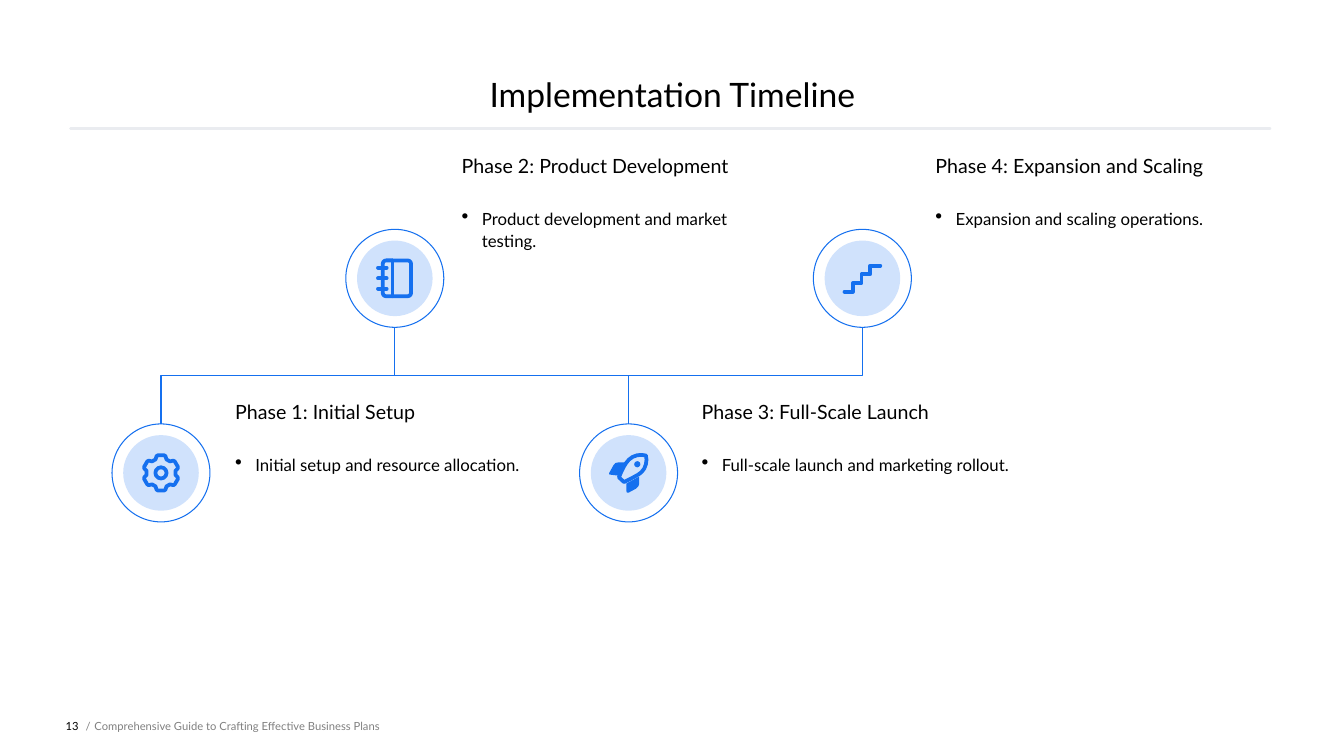
from dataclasses import dataclass
from math import cos, radians, sin
from typing import Callable

from lxml import etree
from pptx import Presentation
from pptx.dml.color import RGBColor
from pptx.enum.shapes import MSO_CONNECTOR, MSO_SHAPE
from pptx.enum.text import MSO_ANCHOR, PP_ALIGN
from pptx.oxml.ns import qn
from pptx.shapes.autoshape import Shape
from pptx.slide import Slide
from pptx.util import Pt

STRAIGHT = MSO_CONNECTOR.STRAIGHT
OVAL, ROUNDED = MSO_SHAPE.OVAL, MSO_SHAPE.ROUNDED_RECTANGLE
TOP, MIDDLE, BOTTOM = MSO_ANCHOR.TOP, MSO_ANCHOR.MIDDLE, MSO_ANCHOR.BOTTOM
LEFT, CENTER, RIGHT = PP_ALIGN.LEFT, PP_ALIGN.CENTER, PP_ALIGN.RIGHT

Point = tuple[float, float]


@dataclass(frozen=True)
class Theme:
    font: str = "Lato"
    text: RGBColor = RGBColor(0, 0, 0)
    muted: RGBColor = RGBColor(0x80, 0x80, 0x80)
    accent: RGBColor = RGBColor(0x15, 0x70, 0xEF)
    tint: RGBColor = RGBColor(0xD0, 0xE2, 0xFC)
    rule: RGBColor = RGBColor(0xEA, 0xEC, 0xF0)
    title_size: float = 24
    heading_size: float = 14
    body_size: float = 12
    footer_size: float = 8
    thin: float = 0.75
    rule_width: float = 2
    icon_stroke: float = 2.7


THEME = Theme()


@dataclass(frozen=True)
class TextBox:
    text: str
    left: float
    top: float
    width: float
    height: float
    size: float
    color: RGBColor = THEME.text
    align: PP_ALIGN = LEFT
    anchor: MSO_ANCHOR = TOP
    line_spacing: float = 1
    bullet: bool = False


@dataclass(frozen=True)
class Phase:
    heading: str
    detail: str
    text_left: float
    raised: bool
    draw_icon: Callable[[Slide, Point], None]


def add_text(slide: Slide, box: TextBox) -> None:
    shape = slide.shapes.add_textbox(Pt(box.left), Pt(box.top), Pt(box.width), Pt(box.height))
    frame = shape.text_frame
    frame.word_wrap = True
    frame.vertical_anchor = box.anchor
    frame.margin_left = frame.margin_right = frame.margin_top = frame.margin_bottom = 0
    frame.text = box.text
    paragraph = frame.paragraphs[0]
    if box.bullet:
        properties = paragraph._p.get_or_add_pPr()
        properties.set("marL", str(Pt(14.4)))
        properties.set("indent", str(-Pt(14.4)))
        etree.SubElement(properties, qn("a:buSzPct"), val="120000")
        etree.SubElement(properties, qn("a:buChar"), char="•")
    paragraph.alignment = box.align
    paragraph.line_spacing = box.line_spacing
    font = paragraph.runs[0].font
    font.name, font.size = THEME.font, Pt(box.size)
    font.color.rgb = box.color


def paint(shape: Shape, fill: RGBColor | None, stroke: float = 0) -> None:
    shape.shadow.inherit = False
    if fill is None:
        shape.fill.background()
    else:
        shape.fill.solid()
        shape.fill.fore_color.rgb = fill
    if not stroke:
        shape.line.fill.background()
        return
    shape.line.color.rgb = THEME.accent
    shape.line.width = Pt(stroke)
    outline = shape._element.spPr.find(qn("a:ln"))
    outline.set("cap", "rnd" if stroke == THEME.icon_stroke else "flat")
    etree.SubElement(outline, qn("a:round"))


def add_circle(slide: Slide, center: Point, radius: float,
               fill: RGBColor | None, stroke: float = 0) -> None:
    x, y = center
    shape = slide.shapes.add_shape(OVAL, Pt(x - radius), Pt(y - radius), Pt(2 * radius), Pt(2 * radius))
    paint(shape, fill, stroke)


def add_outline(slide: Slide, origin: Point, offsets: list[Point], closed: bool = False,
                fill: RGBColor | None = None, stroke: float = 0) -> None:
    points = [(Pt(origin[0] + x), Pt(origin[1] + y)) for x, y in offsets]
    builder = slide.shapes.build_freeform(*points[0], scale=1.0)
    builder.add_line_segments(points[1:], close=closed)
    paint(builder.convert_to_shape(), fill, stroke)


def add_line(slide: Slide, start: Point, end: Point, color: RGBColor, width: float) -> None:
    connector = slide.shapes.add_connector(STRAIGHT, *map(Pt, start), *map(Pt, end))
    connector.line.color.rgb = color
    connector.line.width = Pt(width)
    properties = connector._element.spPr
    properties.find(qn("a:ln")).set("cap", "rnd")
    etree.SubElement(properties, qn("a:effectLst"))


def draw_gear(slide: Slide, center: Point) -> None:
    tooth = [(-22, 10.4), (-15, 12.4), (-10, 12.8), (10, 12.8), (15, 12.4), (22, 10.4)]
    rim = [(radius * sin(radians(turn + angle)), -radius * cos(radians(turn + angle)))
           for turn in range(0, 360, 60) for angle, radius in tooth]
    add_outline(slide, center, rim, closed=True, stroke=THEME.icon_stroke)
    add_circle(slide, center, 4, None, THEME.icon_stroke)


def draw_notebook(slide: Slide, center: Point) -> None:
    x, y = center
    cover = slide.shapes.add_shape(ROUNDED, Pt(x - 8.6), Pt(y - 12.8), Pt(20.2), Pt(25.6))
    cover.adjustments[0] = 0.12
    paint(cover, None, THEME.icon_stroke)
    add_line(slide, (x - 1.6, y - 12.8), (x - 1.6, y + 12.8), THEME.accent, THEME.icon_stroke)
    for ring in (-7.5, 0, 7.5):
        add_line(slide, (x - 12, y + ring), (x - 5.8, y + ring), THEME.accent, THEME.icon_stroke)


def draw_rocket(slide: Slide, center: Point) -> None:
    body = [(-6.9, 3.2), (-5.2, -0.7), (-3.4, -4.3), (-2, -6.7), (0.2, -9.4), (2.9, -11.4),
            (6.2, -12.6), (9.4, -12.8), (12.4, -12.4), (12.8, -9.4), (12.4, -6.2),
            (11.2, -3), (9.1, -0.4), (7, 1.2), (3.4, 3.2), (-3.2, 6.6)]
    side_fin = [(-13.6, 1.2), (-13.9, 0.2), (-10.8, -5.4), (-9.4, -7), (-7.4, -7.5),
                (-2, -7.5), (-6.9, 2)]
    lower_fin = [(-1.6, 7.6), (7.6, 2.6), (7.6, 7.6), (7, 9.6), (5.2, 11.3),
                 (0, 14.1), (-1.2, 14), (-1.6, 13)]
    add_outline(slide, center, body, closed=True, stroke=THEME.icon_stroke)
    for fin in (side_fin, lower_fin):
        add_outline(slide, center, fin, closed=True, fill=THEME.accent)
    add_circle(slide, (center[0] + 6.2, center[1] - 6.2), 2.2, THEME.accent)


def draw_stairs(slide: Slide, center: Point) -> None:
    step = 6.2
    corners = [(-12.8, 9.6)]
    for index in range(3):
        x, y = -6.8 + index * step, 9.6 - index * step
        corners += [(x, y), (x, y - step)]
    corners.append((12.8, 9.6 - 3 * step))
    add_outline(slide, center, corners, stroke=THEME.icon_stroke)


PHASES = [
    Phase("Phase 1: Initial Setup", "Initial setup and resource allocation.", 168, False, draw_gear),
    Phase("Phase 2: Product Development", "Product development and market testing.",
          329.8, True, draw_notebook),
    Phase("Phase 3: Full-Scale Launch", "Full-scale launch and marketing rollout.",
          501.2, False, draw_rocket),
    Phase("Phase 4: Expansion and Scaling", "Expansion and scaling operations.",
          668.2, True, draw_stairs),
]

FRAME_TEXTS = [
    TextBox("Implementation Timeline", 50.4, 0, 859.7, 81.4, THEME.title_size,
            align=CENTER, anchor=BOTTOM),
    TextBox("13", 33.8, 496.8, 22.4, 43.2, THEME.footer_size, align=RIGHT, anchor=MIDDLE),
    TextBox("/", 61.2, 496.8, 6, 43.2, THEME.footer_size, THEME.muted, anchor=MIDDLE),
    TextBox("Comprehensive Guide to Crafting Effective Business Plans", 67.5, 496.8, 620, 43.2,
            THEME.footer_size, THEME.muted, anchor=MIDDLE),
]

FIRST_X, STEP_X = 115, 167
RAISED_Y, LOWERED_Y = 198.8, 337.8
RING_RADIUS, DISC_RADIUS = 35, 27


def draw_phase(slide: Slide, phase: Phase, center: Point) -> None:
    add_circle(slide, center, DISC_RADIUS, THEME.tint)
    add_circle(slide, center, RING_RADIUS, None, THEME.thin)
    phase.draw_icon(slide, center)
    top = 111.6 if phase.raised else 287.6
    add_text(slide, TextBox(phase.heading, phase.text_left, top, 223.2, 28.8,
                            THEME.heading_size, line_spacing=0.9))
    add_text(slide, TextBox(phase.detail, phase.text_left, top + 36, 223.2,
                            108 if phase.raised else 132.5, THEME.body_size,
                            line_spacing=1.1, bullet=True))


def main() -> None:
    presentation = Presentation()
    presentation.slide_width, presentation.slide_height = Pt(960), Pt(540)
    slide = presentation.slides.add_slide(presentation.slide_layouts[6])
    add_line(slide, (50.4, 91.8), (907.2, 91.8), THEME.rule, THEME.rule_width)
    for box in FRAME_TEXTS:
        add_text(slide, box)
    drop = LOWERED_Y - RAISED_Y - 2 * RING_RADIUS
    for index, phase in enumerate(PHASES):
        x = FIRST_X + index * STEP_X
        draw_phase(slide, phase, (x, RAISED_Y if phase.raised else LOWERED_Y))
        if index < len(PHASES) - 1:
            start, end = (0, drop) if phase.raised else (drop, 0)
            link = [(0, start), (0, drop / 2), (STEP_X, drop / 2), (STEP_X, end)]
            add_outline(slide, (x, RAISED_Y + RING_RADIUS), link, stroke=THEME.thin)
    presentation.save("out.pptx")


if __name__ == "__main__":
    main()
